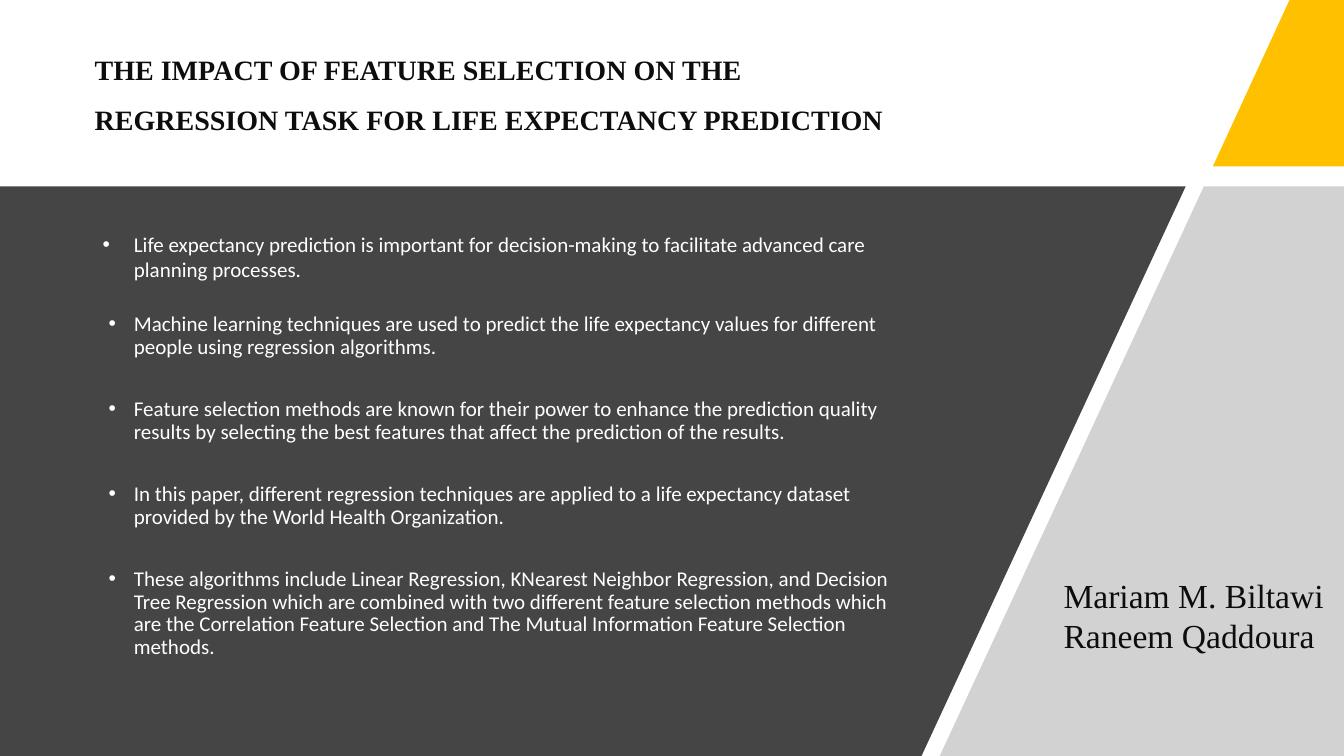
from lxml import etree
from pptx import Presentation
from pptx.dml.color import RGBColor
from pptx.enum.shapes import MSO_SHAPE
from pptx.oxml.ns import qn
from pptx.util import Inches, Pt

RECTANGLE = MSO_SHAPE.RECTANGLE
WHITE = RGBColor(0xFF, 0xFF, 0xFF)
CHARCOAL = RGBColor(0x45, 0x45, 0x45)
AMBER = RGBColor(0xFF, 0xC0, 0x00)
GREY = RGBColor(0xA6, 0xA6, 0xA6)
INK = RGBColor(0x0D, 0x0D, 0x0D)
SERIF, SANS = "Times New Roman", "Calibri"
WIDTH, HEIGHT = 13.33, 7.5
BAND_TOP = 1.85

TITLE = ("THE IMPACT OF FEATURE SELECTION ON THE REGRESSION TASK "
         "FOR LIFE EXPECTANCY PREDICTION")
AUTHORS = ["Mariam M. Biltawi", "Raneem Qaddoura"]
POINTS = [
    "Life expectancy prediction is important for decision-making to facilitate "
    "advanced care planning processes.",
    "Machine learning techniques are used to predict the life expectancy values "
    "for different people using regression algorithms.",
    "Feature selection methods are known for their power to enhance the prediction "
    "quality results by selecting the best features that affect the prediction of "
    "the results.",
    "In this paper, different regression techniques are applied to a life expectancy "
    "dataset provided by the World Health Organization.",
    "These algorithms include Linear Regression, KNearest Neighbor Regression, and "
    "Decision Tree Regression which are combined with two different feature selection "
    "methods which are the Correlation Feature Selection and The Mutual Information "
    "Feature Selection methods.",
]


def paint(sp, color):
    sp.fill.solid()
    sp.fill.fore_color.rgb = color
    sp.line.fill.background()
    sp.shadow.inherit = False


def add_panel(slide, box, slant_left, slant_right, color):
    """Fill a box whose left side leans in at the top, right side at the bottom."""
    x, y, w, h = map(Inches, box)
    builder = slide.shapes.build_freeform(x + Inches(slant_left), y)
    builder.add_line_segments(
        [(x + w, y), (x + w - Inches(slant_right), y + h), (x, y + h)])
    sp = builder.convert_to_shape()
    paint(sp, color)
    return sp


def add_text(slide, box, lines, font, size, color, bold=False):
    tf = slide.shapes.add_textbox(*map(Inches, box)).text_frame
    tf.word_wrap = True
    tf.text = "\n".join(lines)
    for p in tf.paragraphs:
        for r in p.runs:
            r.font.name = font
            r.font.size = Pt(size)
            r.font.bold = bold
            r.font.color.rgb = color
    return tf


def add_bullet(p, indent):
    pPr = p._p.get_or_add_pPr()
    pPr.set("marL", str(Inches(0.31)))
    pPr.set("indent", str(-Inches(indent)))
    etree.SubElement(pPr, qn("a:buFont")).set("typeface", "Arial")
    etree.SubElement(pPr, qn("a:buChar")).set("char", "•")


def add_backdrop(slide):
    band_height = HEIGHT - BAND_TOP
    page = slide.shapes.add_shape(
        RECTANGLE, 0, 0, Inches(WIDTH), Inches(HEIGHT))
    paint(page, WHITE)
    add_panel(slide, (12.03, 0, 1.3, 1.65), 0.76, 0, AMBER)
    add_panel(slide, (0, BAND_TOP, 11.76, band_height), 0, 2.62, CHARCOAL)
    side = add_panel(slide, (9.32, BAND_TOP, 4.01, band_height), 2.62, 0, GREY)
    color = side.fill._xPr.find(qn("a:solidFill"))[0]
    etree.SubElement(color, qn("a:alpha")).set("val", "50000")


def add_title(slide, box):
    tf = add_text(slide, box, [TITLE], SERIF, 20, INK, bold=True)
    tf.paragraphs[0].line_spacing = 1.5


def add_points(slide, box):
    first, *others = add_text(slide, box, POINTS, SANS, 15, WHITE).paragraphs
    first.space_after = Pt(22.5)
    add_bullet(first, 0.31)
    for p in others:
        p.line_spacing = 0.9
        p.space_after = Pt(28.2)
        add_bullet(p, 0.25)


def main():
    prs = Presentation()
    prs.slide_width, prs.slide_height = Inches(WIDTH), Inches(HEIGHT)
    slide = prs.slides.add_slide(prs.slide_layouts[6])
    slide.background.fill.solid()
    slide.background.fill.fore_color.rgb = CHARCOAL
    add_backdrop(slide)
    add_points(slide, (0.92, 2.25, 8, 4.51))
    add_title(slide, (0.84, 0.3, 8.46, 1.05))
    add_text(slide, (10.45, 5.65, 2.88, 0.91), AUTHORS, SERIF, 24, INK)
    prs.save("out.pptx")


if __name__ == "__main__":
    main()
